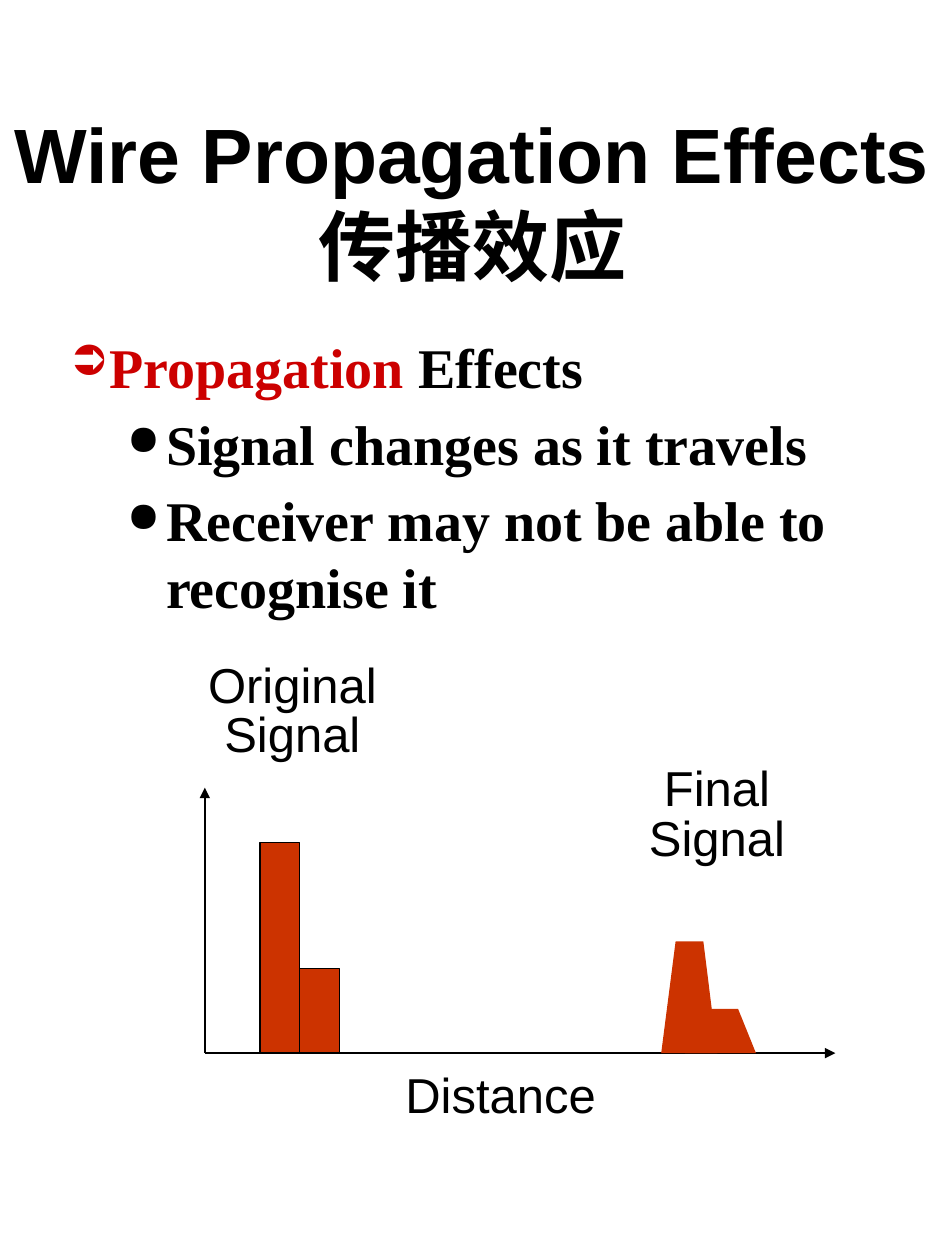
from lxml import etree
from pptx import Presentation
from pptx.dml.color import RGBColor
from pptx.enum import shapes, text
from pptx.oxml.ns import qn
from pptx.util import Cm, Pt

BLACK = RGBColor(0x00, 0x00, 0x00)
RED = RGBColor(0xCC, 0x00, 0x00)
SIGNAL = RGBColor(0xCC, 0x33, 0x00)
CENTER, RIGHT, LEFT = (text.PP_ALIGN.CENTER, text.PP_ALIGN.RIGHT,
                       text.PP_ALIGN.LEFT)

# Lengths are in centimetres.
TITLE = "Wire Propagation Effects传播效应"
# level, bullet, bullet colour, left margin, space before (pt), runs
POINTS = [
    (0, "➲", RED, 1.25, 0, [("Propagation", RED), (" Effects", BLACK)]),
    (1, "●", BLACK, 2.39, 5.4, [("Signal changes as it travels", BLACK)]),
    (1, "●", BLACK, 2.39, 5.4,
     [("Receiver may not be able to recognise it", BLACK)]),
]
HANGING = 0.79
# lines, box, alignment
LABELS = [
    (["Distance"], (7.92, 21.34, 4.34, 1.45), RIGHT),
    (["Original", "Signal"], (3.94, 13.06, 3.91, 2.46), CENTER),
    (["Final", "Signal"], (12.83, 15.14, 3.25, 2.46), CENTER),
]
ORIGIN_X, BASE_Y = 4.13, 21.23
AXIS_TIPS = [(ORIGIN_X, 15.88), (16.84, BASE_Y)]
BARS_LEFT, BAR_WIDTH = 5.24, 0.8
BAR_HEIGHTS = [4.24, 1.7]
# x of bottom left, top left, top right, bottom right; then the height
FADED_PULSES = [
    ((13.33, 13.62, 14.18, 14.46), 2.25),
    ((13.81, 14.18, 14.88, 15.24), 0.89),
]

deck = Presentation()
deck.slide_width, deck.slide_height = Cm(19.05), Cm(25.4)
slide = deck.slides.add_slide(deck.slide_layouts[6])


def add_frame(box, wrap=True):
    frame = slide.shapes.add_textbox(*map(Cm, box)).text_frame
    frame.word_wrap = wrap
    return frame


def add_run(paragraph, words, size, font, color=BLACK, bold=False):
    run = paragraph.add_run()
    run.text = words
    run.font.size, run.font.name, run.font.bold = Pt(size), font, bold
    run.font.color.rgb = color


def paragraph_at(frame, index):
    return frame.add_paragraph() if index else frame.paragraphs[0]


def add_bullet(paragraph, char, color, margin):
    props = paragraph._p.get_or_add_pPr()
    props.set("marL", str(Cm(margin)))
    props.set("indent", str(-Cm(HANGING)))
    tint = etree.SubElement(props, qn("a:buClr"))
    etree.SubElement(tint, qn("a:srgbClr"), val=str(color))
    etree.SubElement(props, qn("a:buSzPct"), val="75000")
    etree.SubElement(props, qn("a:buChar"), char=char)


def fill_signal(shape):
    shape.shadow.inherit = False
    shape.fill.solid()
    shape.fill.fore_color.rgb = SIGNAL


title = add_frame((0, 1.9, 19.05, 4.22))
title.vertical_anchor = text.MSO_ANCHOR.MIDDLE
title.paragraphs[0].alignment = CENTER
add_run(title.paragraphs[0], TITLE, 44, "Arial", bold=True)

body = add_frame((0.71, 6.5, 17.2, 6.4))
body.margin_top = Cm(0.2)
for i, (level, char, tint, margin, before, runs) in enumerate(POINTS):
    point = paragraph_at(body, i)
    add_bullet(point, char, tint, margin)
    point.level, point.alignment = level, LEFT
    point.space_before = Pt(before)
    for words, color in runs:
        add_run(point, words, 32, "Times New Roman", color, bold=True)

for tip_x, tip_y in AXIS_TIPS:
    axis = slide.shapes.add_connector(
        shapes.MSO_CONNECTOR.STRAIGHT,
        Cm(ORIGIN_X), Cm(BASE_Y), Cm(tip_x), Cm(tip_y))
    axis.line.color.rgb, axis.line.width = BLACK, Pt(1.5)
    etree.SubElement(axis.line._get_or_add_ln(), qn("a:tailEnd"),
                     type="triangle")
    etree.SubElement(axis._element.spPr, qn("a:effectLst"))

for i, height in enumerate(BAR_HEIGHTS):
    bar = slide.shapes.add_shape(
        shapes.MSO_SHAPE.RECTANGLE, Cm(BARS_LEFT + i * BAR_WIDTH),
        Cm(BASE_Y - height), Cm(BAR_WIDTH), Cm(height))
    fill_signal(bar)
    bar.line.color.rgb, bar.line.width = BLACK, Pt(0.75)

for xs, height in FADED_PULSES:
    top = BASE_Y - height
    corners = [(Cm(x), Cm(y)) for x, y in zip(xs, (BASE_Y, top, top, BASE_Y))]
    outline = slide.shapes.build_freeform(*corners[0])
    outline.add_line_segments(corners[1:], close=True)
    pulse = outline.convert_to_shape()
    fill_signal(pulse)
    pulse.line.fill.background()

for lines, box, alignment in LABELS:
    label = add_frame(box, wrap=False)
    label.auto_size = text.MSO_AUTO_SIZE.SHAPE_TO_FIT_TEXT
    for i, words in enumerate(lines):
        line = paragraph_at(label, i)
        line.alignment = alignment
        if i:
            line.line_spacing = 0.85
        add_run(line, words, 28, "Arial")

deck.save("out.pptx")
